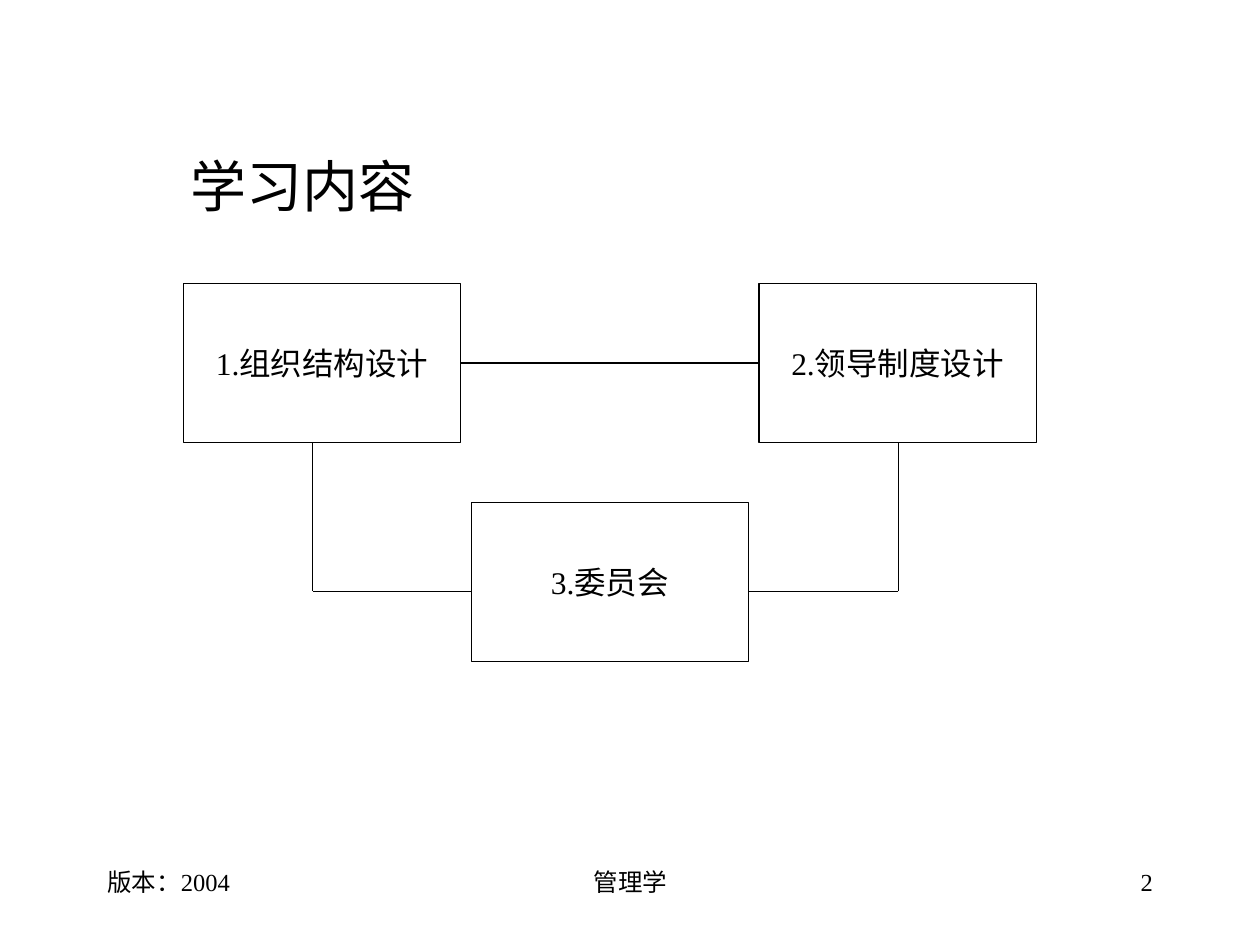
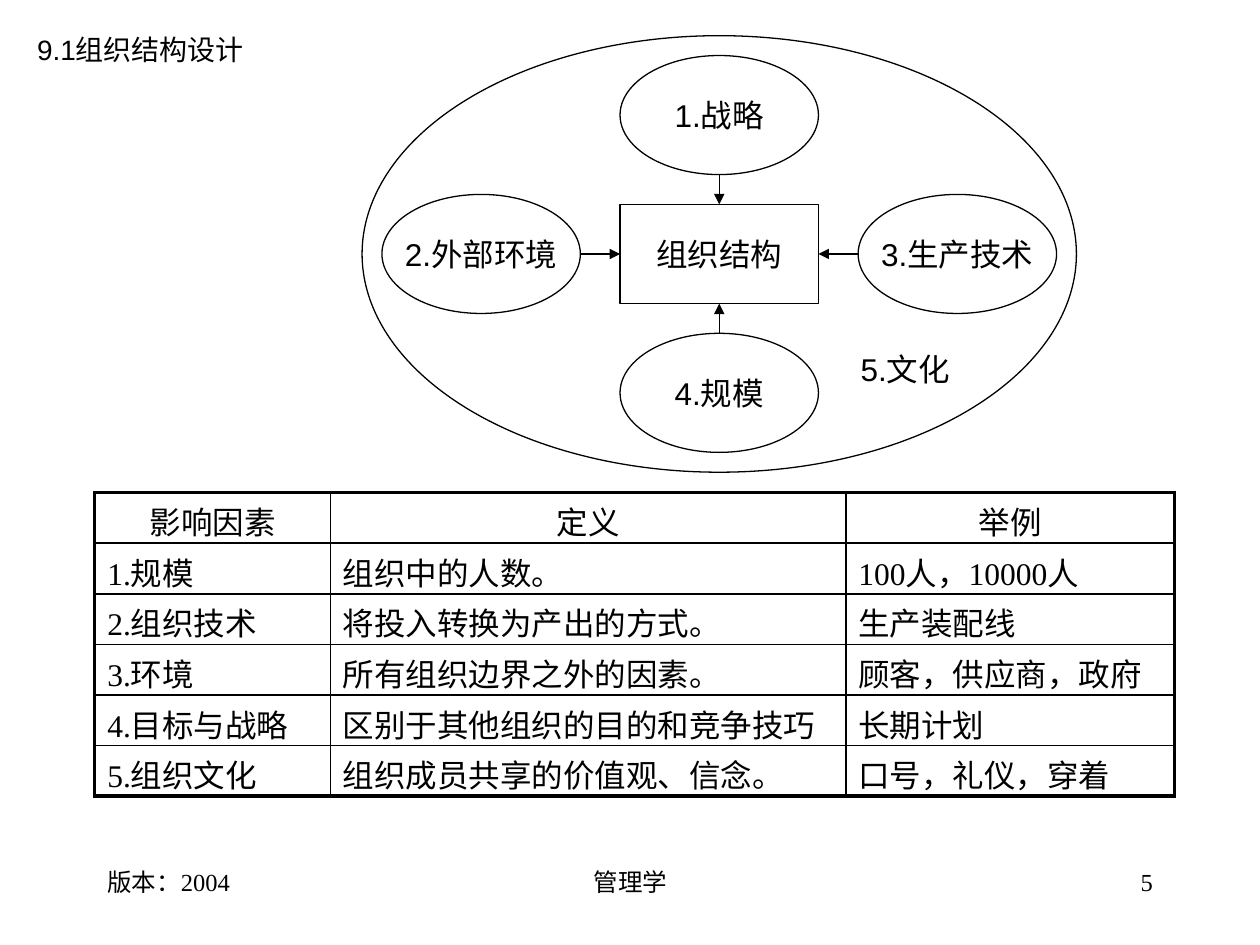
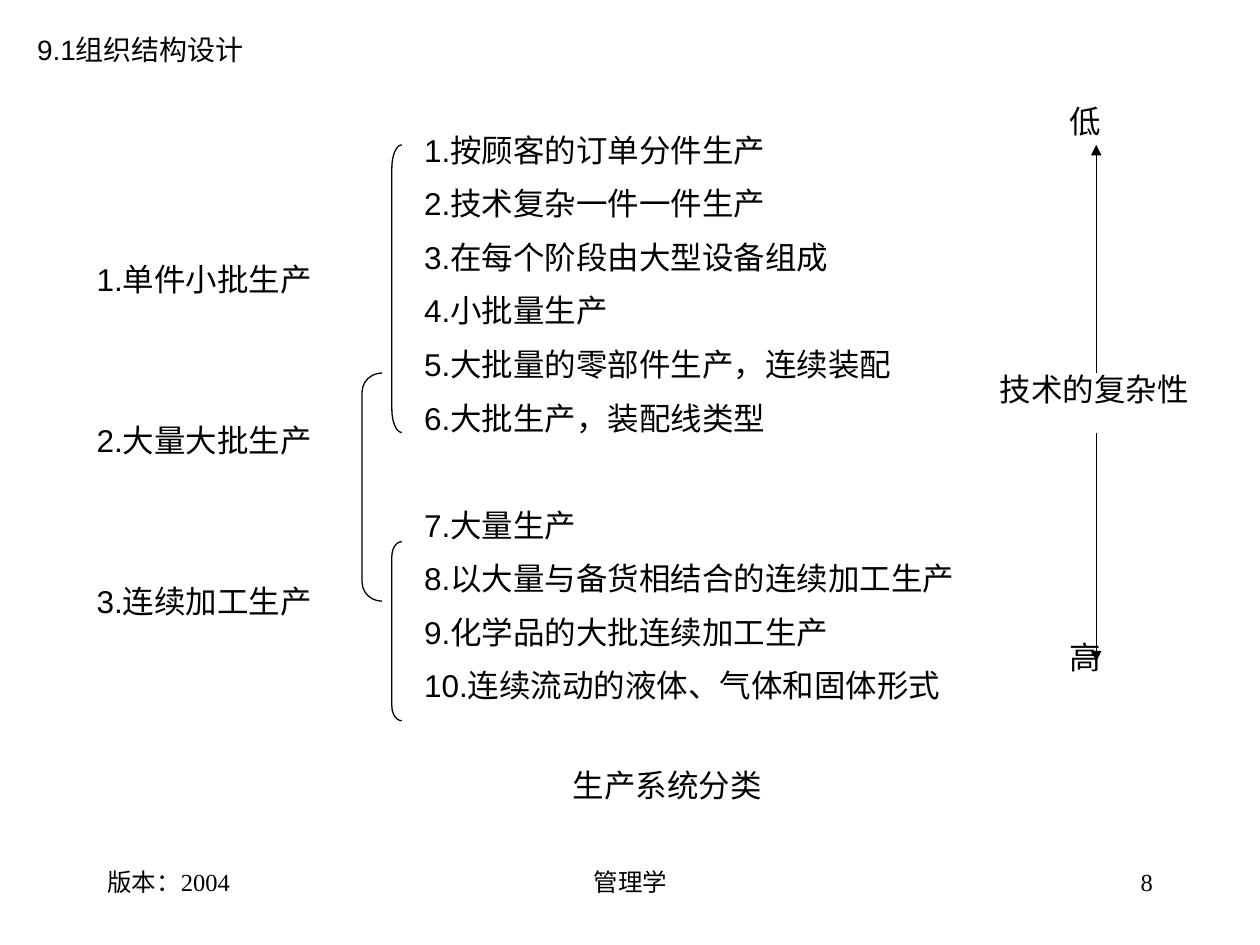
"""Build three slides on the design of organisation structure."""
from dataclasses import dataclass

from lxml.etree import SubElement as Sub
from pptx import Presentation
from pptx.dml.color import RGBColor as Rgb
from pptx.enum.shapes import MSO_CONNECTOR as Link, MSO_SHAPE as Kind
from pptx.enum.text import MSO_ANCHOR as Anchor, PP_ALIGN as Align
from pptx.oxml.ns import qn
from pptx.util import Cm, Pt


@dataclass(frozen=True)
class Theme:
    ink: Rgb = Rgb(0, 0, 0)
    paper: Rgb = Rgb(255, 255, 255)
    serif: str = "Times New Roman"
    sans: str = "Arial"
    title: int = 32
    body: int = 18
    head: int = 16
    foot: int = 14
    thin: float = 0.75
    rule: float = 1
    edge: float = 2.25
    gap: float = 9
    pitch: float = 30.66


T = Theme()
HEAD = "9.1组织结构设计"
FOOT = [
    ("版本：2004", 1.91, 5.29, Align.LEFT),
    ("管理学", 8.69, 8.04, Align.CENTER),
    (None, 18.2, 5.29, Align.RIGHT),
]
TOPICS = [
    ("1.组织结构设计", 3.7, 5.72),
    ("2.领导制度设计", 15.3, 5.72),
    ("3.委员会", 9.5, 10.13),
]
LINKS = [
    (9.29, 7.32, 15.3, 7.32),
    (15.09, 11.92, 18.11, 11.92),
    (18.11, 11.92, 18.11, 8.92),
    (9.5, 11.92, 6.3, 11.92),
    (6.3, 11.92, 6.3, 8.92),
]
FORCES = [
    ("1.战略", 0, -1),
    ("3.生产技术", 1, 0),
    ("2.外部环境", -1, 0),
    ("4.规模", 0, 1),
]
COLS = [4.75, 10.39, 6.63]
ROWS = [
    ("影响因素", "定义", "举例"),
    ("1.规模", "组织中的人数。", "100人，10000人"),
    ("2.组织技术", "将投入转换为产出的方式。", "生产装配线"),
    ("3.环境", "所有组织边界之外的因素。", "顾客，供应商，政府"),
    ("4.目标与战略", "区别于其他组织的目的和竞争技巧", "长期计划"),
    ("5.组织文化", "组织成员共享的价值观、信念。", "口号，礼仪，穿着"),
]
KINDS = ["1.单件小批生产", "2.大量大批生产", "3.连续加工生产"]
SMALL = [
    "1.按顾客的订单分件生产",
    "2.技术复杂一件一件生产",
    "3.在每个阶段由大型设备组成",
    "4.小批量生产",
    "5.大批量的零部件生产，连续装配",
    "6.大批生产，装配线类型",
]
LARGE = [
    "7.大量生产",
    "8.以大量与备货相结合的连续加工生产",
    "9.化学品的大批连续加工生产",
    "10.连续流动的液体、气体和固体形式",
]
SCALE = ["低", "技术的复杂性", "高"]
BRACES = [
    (7.9, 2.92, 0.2, 5.8, 2.38),
    (7.3, 7.52, 0.4, 4.6, 0.96),
    (7.9, 10.92, 0.2, 3.61, 1.48),
]


def write(frame, text, size=T.body, font=T.sans, align=Align.LEFT,
          wrap=True, skips=None, dents=None):
    """Fill a frame; skips counts the empty lines left above each line."""
    frame.word_wrap = wrap
    lines = [text] if isinstance(text, str) else text
    for i, line in enumerate(lines):
        par = frame.paragraphs[0] if i == 0 else frame.add_paragraph()
        if dents and dents[i]:
            par._p.get_or_add_pPr().set("marL", str(Cm(dents[i])))
        par.alignment = align
        if i:
            par.space_before = Pt(T.gap + T.pitch * (skips[i] if skips else 0))
        run = par.add_run()
        run.text = line
        run.font.size, run.font.name = Pt(size), font
        run.font.color.rgb = T.ink


def label(page, text, x, y, w, h, **style):
    box = page.shapes.add_textbox(Cm(x), Cm(y), Cm(w), Cm(h))
    write(box.text_frame, text, **style)


def shape(page, kind, x, y, w, h, text=None, fill=True, bend=None, **style):
    item = page.shapes.add_shape(kind, Cm(x), Cm(y), Cm(w), Cm(h))
    item.shadow.inherit = False
    if fill:
        item.fill.solid()
        item.fill.fore_color.rgb = T.paper
    else:
        item.fill.background()
    item.line.color.rgb, item.line.width = T.ink, Pt(T.thin)
    if bend:
        item.adjustments[0] = bend
    if text:
        item.text_frame.vertical_anchor = Anchor.MIDDLE
        write(item.text_frame, text, align=Align.CENTER, wrap=False, **style)


def line(page, x1, y1, x2, y2, arrow=False):
    item = page.shapes.add_connector(Link.STRAIGHT, Cm(x1), Cm(y1), Cm(x2), Cm(y2))
    item.line.color.rgb, item.line.width = T.ink, Pt(T.thin)
    if arrow:
        Sub(item.line._get_or_add_ln(), qn("a:tailEnd"), type="triangle")
    Sub(item._element.spPr, qn("a:effectLst"))


def border(cell, sides):
    props = cell._tc.get_or_add_tcPr()
    for side, width in sides.items():
        ln = Sub(props, qn("a:ln" + side), w=str(Pt(width)))
        Sub(Sub(ln, qn("a:solidFill")), qn("a:srgbClr"), val=str(T.ink))


def start(deck, number, head=None):
    page = deck.slides.add_slide(deck.slide_layouts[6])
    for text, x, w, align in FOOT:
        label(page, text or str(number), x, 17.35, w, 1.27,
              size=T.foot, font=T.serif, align=align)
    if head:
        label(page, head, 0.5, 0.53, 4.9, 0.94, size=T.head)
    return page


def outline(deck):
    page = start(deck, 2)
    label(page, "学习内容", 3.3, 2.92, 5.61, 1.6,
          size=T.title, font=T.serif, align=Align.CENTER)
    for text, x, y in TOPICS:
        shape(page, Kind.RECTANGLE, x, y, 5.59, 3.2, text, font=T.serif)
    for ends in LINKS:
        line(page, *ends)


def factors(deck):
    page = start(deck, 5, HEAD)
    cx, cy, w, h, core = 14.5, 5.12, 4, 2.4, 2
    shape(page, Kind.RECTANGLE, cx - w / 2, cy - core / 2, w, core, "组织结构")
    for text, dx, dy in FORCES:
        x, y = cx + 4.8 * dx, cy + 2.8 * dy
        shape(page, Kind.OVAL, x - w / 2, y - h / 2, w, h, text)
        line(page, x - dx * w / 2, y - dy * h / 2,
             cx + dx * w / 2, cy + dy * core / 2, arrow=True)
    shape(page, Kind.OVAL, cx - 7.2, cy - 4.4, 14.4, 8.8, fill=False)
    label(page, "5.文化", 17.1, 6.93, 2.6, 1.02)
    grid(page, 1.91, 9.93, 1.02)


def grid(page, x, y, high):
    last, end = len(ROWS) - 1, len(COLS) - 1
    table = page.shapes.add_table(len(ROWS), len(COLS), Cm(x), Cm(y),
                                  Cm(sum(COLS)), Cm(high * len(ROWS))).table
    for col, wide in zip(table.columns, COLS):
        col.width = Cm(wide)
    for r, row in enumerate(ROWS):
        table.rows[r].height = Cm(high)
        for c, text in enumerate(row):
            cell = table.cell(r, c)
            outer = {"L": c == 0, "R": c == end, "T": r == 0, "B": r == last}
            border(cell, {s: T.edge if out else T.rule for s, out in outer.items()})
            cell.fill.background()
            cell.margin_top, cell.margin_bottom = Cm(0.11), Cm(0)
            write(cell.text_frame, text, font=T.serif,
                  align=Align.LEFT if r else Align.CENTER)


def systems(deck):
    page = start(deck, 8, HEAD)
    items = SMALL + LARGE
    label(page, items, 8.3, 2.51, 11.4, 12.47,
          skips=[int(text == LARGE[0]) for text in items])
    label(page, SCALE, 19.9, 1.93, 4.6, 12.47,
          skips=[0, 4, 4], dents=[1.42, 0, 1.42])
    for y1, y2 in [(7.52, 2.92), (8.73, 13.33)]:
        line(page, 22.1, y1, 22.1, y2, arrow=True)
    label(page, KINDS, 1.7, 5.12, 5.2, 7.9, skips=[0, 2, 2])
    for *place, bend in BRACES:
        shape(page, Kind.LEFT_BRACKET, *place, fill=False, bend=bend)
    label(page, "生产系统分类", 11.3, 15.32, 4.6, 1.02)


def main():
    deck = Presentation()
    deck.slide_width, deck.slide_height = Cm(25.4), Cm(19.05)
    for build in (outline, factors, systems):
        build(deck)
    deck.save("out.pptx")


if __name__ == "__main__":
    main()
